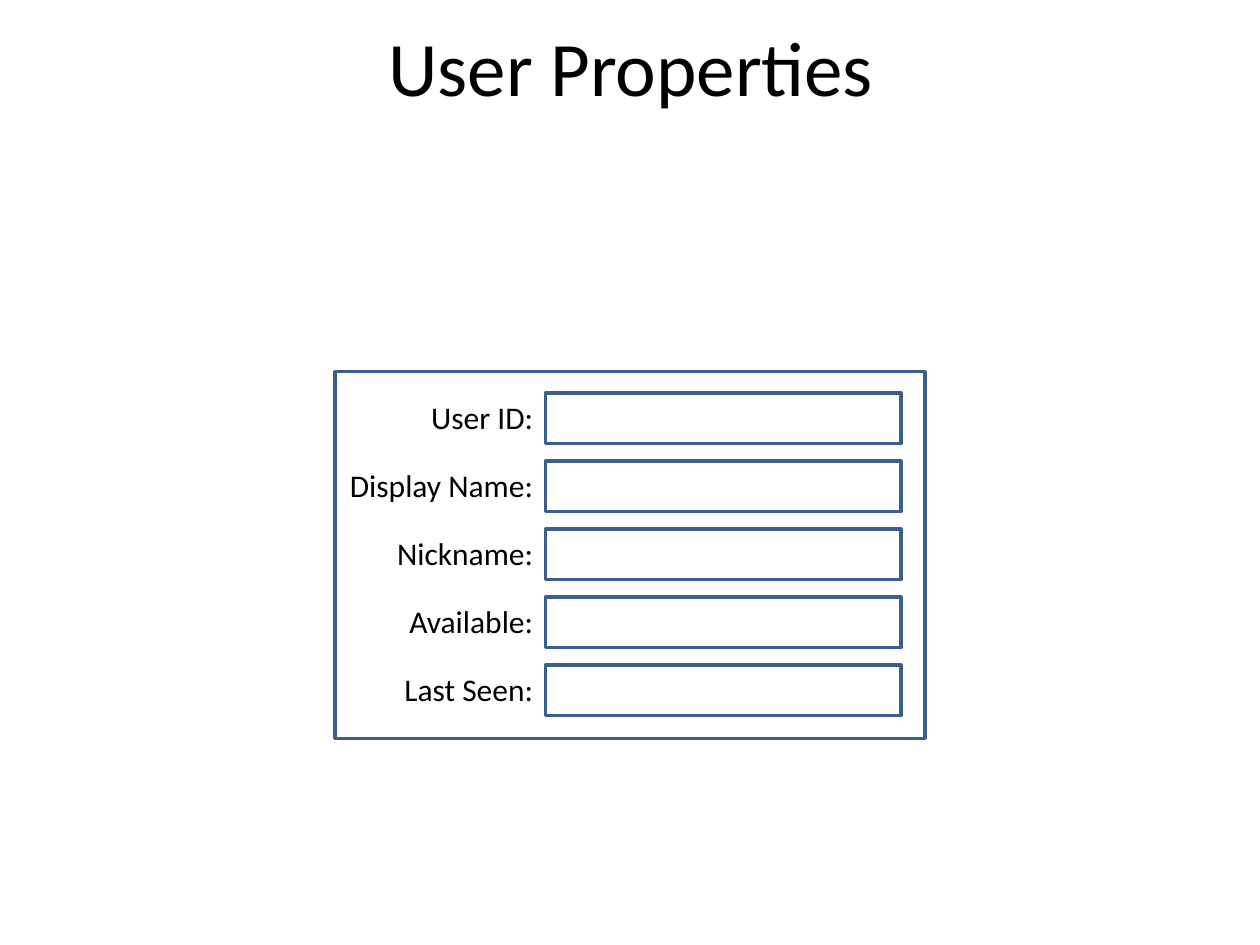
from dataclasses import dataclass

from pptx import Presentation
from pptx.dml.color import RGBColor
from pptx.enum.shapes import MSO_SHAPE
from pptx.enum.text import MSO_ANCHOR, PP_ALIGN
from pptx.shapes.autoshape import Shape
from pptx.shapes.group import GroupShape
from pptx.util import Inches, Pt

RECTANGLE = MSO_SHAPE.RECTANGLE
MIDDLE = MSO_ANCHOR.MIDDLE
CENTER, RIGHT = PP_ALIGN.CENTER, PP_ALIGN.RIGHT

BLACK, WHITE, BLUE = "000000", "FFFFFF", "3A5F8C"
FIRST_FIELD_TOP, ROW_STEP = 3.12, 0.54
LABEL_OFFSET = -0.01


@dataclass(frozen=True)
class Box:
    left: float
    top: float
    width: float
    height: float

    def lengths(self) -> list[int]:
        return [Inches(value) for value in (self.left, self.top, self.width, self.height)]


def color(value: str) -> RGBColor:
    return RGBColor.from_string(value)


def write_text(shape: Shape, text: str, size: float, alignment: PP_ALIGN) -> None:
    shape.text_frame.text = text
    paragraph = shape.text_frame.paragraphs[0]
    paragraph.alignment = alignment
    font = paragraph.runs[0].font
    for name, value in {"name": "Calibri", "size": Pt(size)}.items():
        setattr(font, name, value)
    font.color.rgb = color(BLACK)


def add_frame(group: GroupShape, box: Box, fill: str | None = None) -> None:
    shape = group.shapes.add_shape(RECTANGLE, *box.lengths())
    shape.shadow.inherit = False
    if fill:
        shape.fill.solid()
        shape.fill.fore_color.rgb = color(fill)
    else:
        shape.fill.background()
    shape.line.color.rgb = color(BLUE)
    shape.line.width = Pt(2)


def add_label(group: GroupShape, box: Box, text: str) -> None:
    shape = group.shapes.add_textbox(*box.lengths())
    label_format = {"word_wrap": True, "margin_left": 0, "margin_right": Inches(0.1)}
    for name, value in label_format.items():
        setattr(shape.text_frame, name, value)
    write_text(shape, text, 18, RIGHT)


presentation = Presentation()
presentation.slide_width = Inches(10)
presentation.slide_height = Inches(7.5)
slide = presentation.slides.add_slide(presentation.slide_layouts[5])

# Title
title = slide.shapes.title
title_box = Box(0.18, 0.17, 9.66, 0.8)
for name, value in zip(("left", "top", "width", "height"), title_box.lengths()):
    setattr(title, name, value)
write_text(title, "User Properties", 44, CENTER)
title.text_frame.vertical_anchor = MIDDLE
title.text_frame.paragraphs[0].line_spacing = 0.9

# Form panel
form = slide.shapes.add_group_shape()
add_frame(form, Box(2.66, 2.95, 4.68, 2.91))

# Labelled fields
labels = ["User ID:", "Display Name:", "Nickname:", "Available:", "Last Seen:"]
for row, label in enumerate(labels):
    top = FIRST_FIELD_TOP + row * ROW_STEP
    add_frame(form, Box(4.33, top, 2.82, 0.4), WHITE)
    add_label(form, Box(2.66, top + LABEL_OFFSET, 1.67, 0.4), label)

presentation.save("out.pptx")
